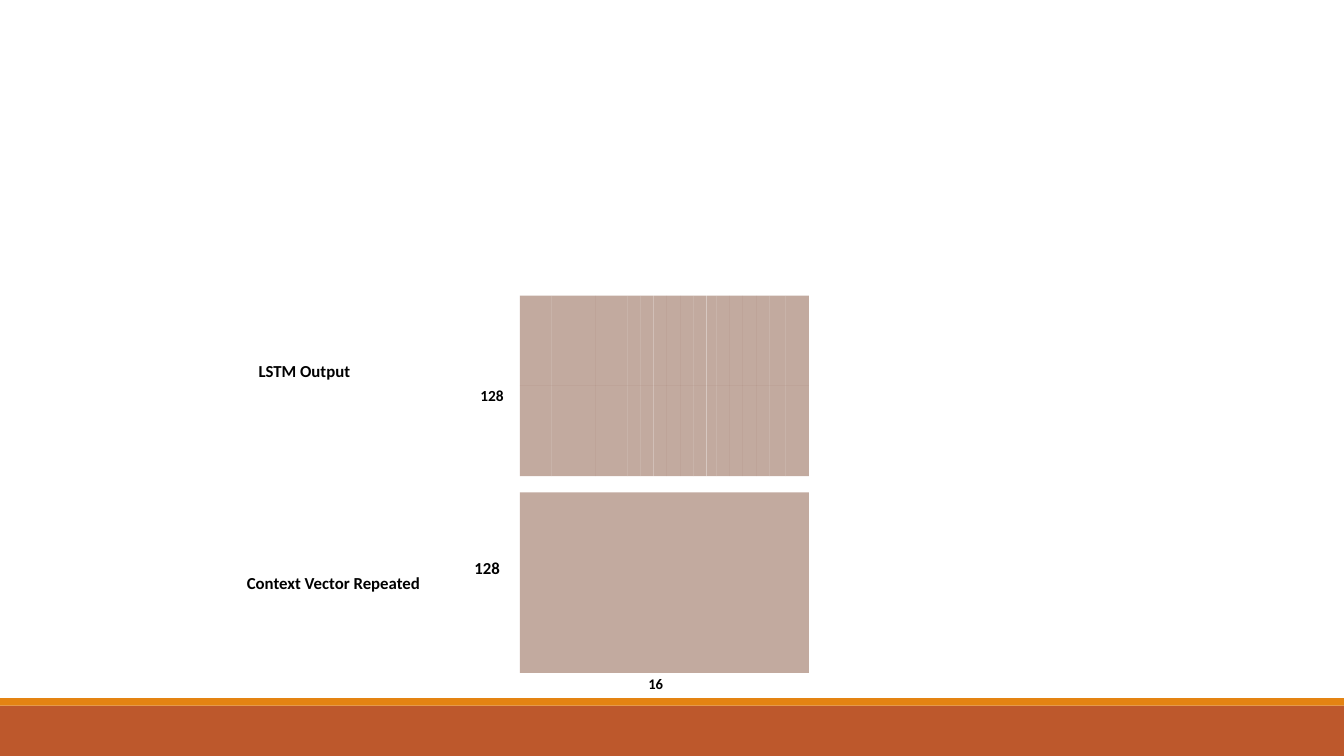
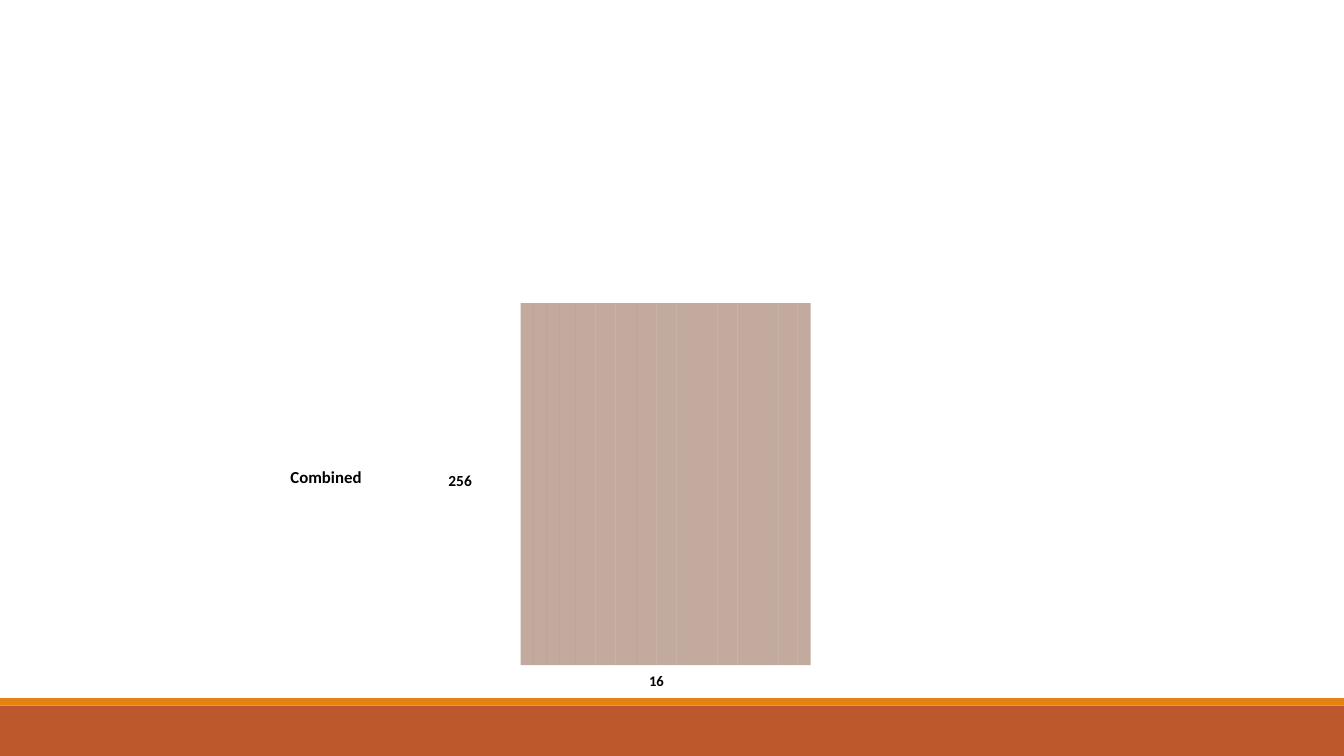
from dataclasses import dataclass
from itertools import accumulate

from lxml import etree
from pptx import Presentation
from pptx import util as u
from pptx.dml.color import RGBColor
from pptx.enum import shapes, text
from pptx.oxml import ns

COLUMNS, ROWS = 160, 90
CELL = u.Inches(7.5) / ROWS
FONT = "Calibri"
COLORS = {"footer": "BD582C", "stripe": "E48312", "matrix": "865640", "text": "000000"}


@dataclass(frozen=True)
class Area:
    column: float
    row: float
    width: float
    height: float

    def lengths(self) -> list[u.Emu]:
        cells = (self.column, self.row, self.width, self.height)
        return [u.Emu(round(value * CELL)) for value in cells]


@dataclass(frozen=True)
class Label:
    words: str
    area: Area
    size: float = 12
    line_spacing: float = 1.0
    space_after: float = 0


@dataclass(frozen=True)
class Matrix:
    area: Area
    column_weights: tuple[float, ...] = (1,)
    row_count: int = 1


def caption(words: str, area: Area) -> Label:
    return Label(words, area, line_spacing=1.07, space_after=8, size=11)


def step_count(column: float, row: float) -> Label:
    return Label("16", Area(column, row, 7.9, 6.2), 10.5, 1.07, 8)


BANDS = (
    (Area(0, 84, COLUMNS, 6), "footer"),
    (Area(0, 83.1, COLUMNS, 0.9), "stripe"),
)
OUTPUT_WEIGHTS = (31, 44, 31, *[13] * 6, 10, *[13] * 4, 16, 23)
COMBINED_WEIGHTS = (13, 13, 13, 15, *[20.2] * 10, 19, 13)

SLIDES = (
    (
        (
            Matrix(Area(61.9, 58.6, 34.4, 21.5)),
            Matrix(Area(61.9, 35.2, 34.4, 21.5), OUTPUT_WEIGHTS, 2),
        ),
        (
            Label("Context Vector Repeated", Area(28.2, 67.6, 36.1, 3.6)),
            Label("128", Area(55.3, 65.6, 7.9, 4.4), 12, 1.07, 8),
            step_count(76, 79.6),
            caption("128", Area(56, 45.2, 10.7, 4.1)),
            Label("LSTM Output", Area(29.6, 42.4, 24.8, 3.6)),
        ),
    ),
    (
        (Matrix(Area(62, 36.1, 34.5, 43.1), COMBINED_WEIGHTS),),
        (
            step_count(76.1, 79.2),
            caption("256", Area(52.2, 55.4, 10.7, 4.1)),
            Label("Combined", Area(33.4, 55, 12.2, 3.6)),
        ),
    ),
)


def add_block(slide, area: Area, color: str, opacity: int = 100):
    shape = slide.shapes.add_shape(shapes.MSO_SHAPE.RECTANGLE, *area.lengths())
    shape.shadow.inherit = False
    shape.fill.solid()
    shape.fill.fore_color.rgb = RGBColor.from_string(COLORS[color])
    shape.line.fill.background()
    if opacity < 100:
        fill_color = shape.element.spPr.find(f".//{ns.qn('a:srgbClr')}")
        etree.SubElement(fill_color, ns.qn("a:alpha"), val=str(opacity * 1000))
    return shape


def add_text(slide, words: str, area: Area, *, size: float,
             line_spacing: float = 1.0, space_after: float = 0, bold: bool = True) -> None:
    frame = slide.shapes.add_textbox(*area.lengths()).text_frame
    frame.word_wrap = True
    frame.vertical_anchor = text.MSO_ANCHOR.TOP
    paragraph = frame.paragraphs[0]
    paragraph.text = words
    paragraph.line_spacing = line_spacing
    paragraph.space_after = u.Pt(space_after)
    paragraph.font.name = FONT
    paragraph.font.size = u.Pt(size)
    paragraph.font.bold = bold
    paragraph.font.color.rgb = RGBColor.from_string(COLORS["text"])


def add_matrix(slide, matrix: Matrix) -> None:
    area = matrix.area
    unit = area.width / sum(matrix.column_weights)
    height = area.height / matrix.row_count
    starts = accumulate(matrix.column_weights, initial=0)
    for start, weight in zip(starts, matrix.column_weights):
        for row in range(matrix.row_count):
            cell = Area(area.column + start * unit, area.row + row * height,
                        weight * unit, height)
            add_block(slide, cell, "matrix", opacity=50)


def add_master_bands(presentation, slide) -> None:
    for area, color in BANDS:
        band = add_block(slide, area, color)
        presentation.slide_master.shapes.element.append(band.element)


def main() -> None:
    presentation = Presentation()
    presentation.slide_width = u.Emu(round(COLUMNS * CELL))
    presentation.slide_height = u.Emu(round(ROWS * CELL))
    blank_layout = presentation.slide_layouts[6]
    for matrices, labels in SLIDES:
        slide = presentation.slides.add_slide(blank_layout)
        if len(presentation.slides) == 1:
            add_master_bands(presentation, slide)
        for matrix in matrices:
            add_matrix(slide, matrix)
        for label in labels:
            add_text(slide, label.words, label.area, size=label.size,
                     line_spacing=label.line_spacing, space_after=label.space_after)
    presentation.save("out.pptx")


if __name__ == "__main__":
    main()
